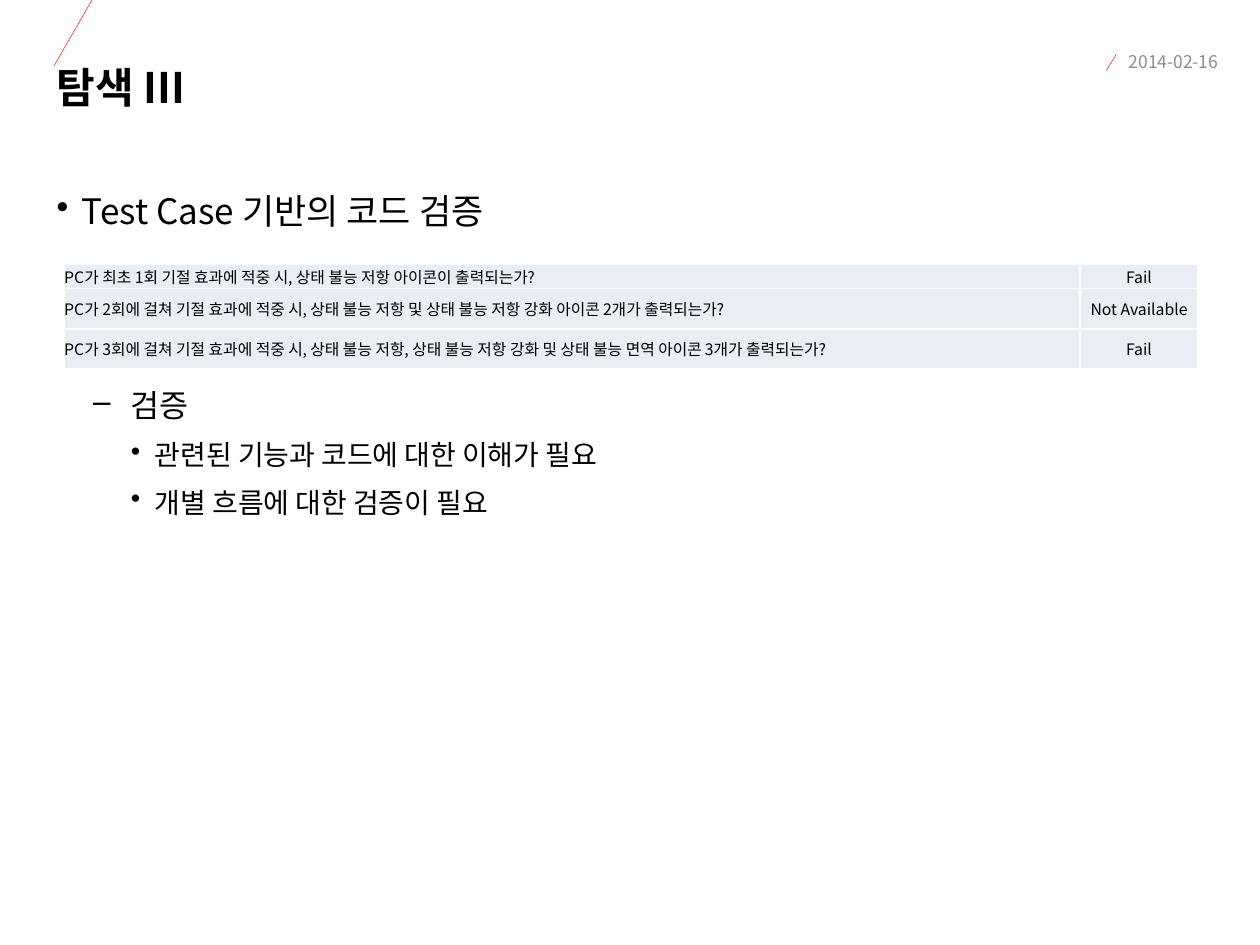
"""Build the search slide with its test case table and outline."""
from lxml import etree
from pptx import Presentation, util as u
from pptx.dml.color import RGBColor
from pptx.enum import shapes, text
from pptx.oxml.ns import qn

FONT = "Noto Sans CJK KR"
HUES = {"ink": "000000", "date": "8C8C8C", "rule": "FF0000",
        "cell": "E9EDF4", "edge": "FFFFFF"}
TITLE = "탐색 III"
DATE = "2014-02-16"
CASES = [
    ("PC가 최초 1회 기절 효과에 적중 시, 상태 불능 저항 아이콘이 출력되는가?", "Fail"),
    ("PC가 2회에 걸쳐 기절 효과에 적중 시, 상태 불능 저항 및 상태 불능 저항 강화 아이콘 2개가 출력되는가?",
     "Not Available"),
    ("PC가 3회에 걸쳐 기절 효과에 적중 시, 상태 불능 저항, 상태 불능 저항 강화 및 상태 불능 면역 아이콘 3개가 출력되는가?",
     "Fail"),
]
COLS, ROWS = (8.06, 0.94), (0.19, 0.32, 0.32)
POINTS = [
    (0, "Test Case 기반의 코드 검증", 4),
    (1, "검증", 84),
    (2, "관련된 기능과 코드에 대한 이해가 필요", 4),
    (2, "개별 흐름에 대한 검증이 필요", 4),
]
LEVELS = [("•", 20, 0.2, 0.2), ("–", 18, 0.59, 0.3), ("•", 16, 0.78, 0.19)]
RULES = [(8.86, 0.43, 8.78, 0.56), (0.73, 0, 0.43, 0.52)]


def hue(name):
    return RGBColor.from_string(HUES[name])


def inches(*nums):
    return [u.Inches(n) for n in nums]


def style(para, size, ink="ink", bold=False):
    for run in para.runs:
        font = run.font
        font.name, font.size, font.bold = FONT, u.Pt(size), bold
        font.color.rgb = hue(ink)
        ea = etree.SubElement(run._r.get_or_add_rPr(), qn("a:ea"))
        ea.set("typeface", FONT)


def add_rule(slide, ends):
    line = slide.shapes.add_connector(
        shapes.MSO_CONNECTOR.STRAIGHT, *inches(*ends))
    line.line.color.rgb = hue("rule")
    line.line.width = u.Pt(0.25)
    etree.SubElement(line._element.spPr, qn("a:effectLst"))


def add_title(slide):
    title = slide.shapes.title
    title.left, title.top, title.width, title.height = inches(
        0.35, 0.38, 7.95, 0.61)
    frame = title.text_frame
    frame.text = TITLE
    frame.vertical_anchor = text.MSO_ANCHOR.MIDDLE
    frame.paragraphs[0].alignment = text.PP_ALIGN.LEFT
    style(frame.paragraphs[0], 24, bold=True)


def add_date(slide):
    frame = slide.shapes.add_textbox(*inches(8.86, 0.39, 1.11, 0.2)).text_frame
    frame.word_wrap = True
    frame.vertical_anchor = text.MSO_ANCHOR.MIDDLE
    frame.text = DATE
    style(frame.paragraphs[0], 10, "date")


def add_points(slide):
    frame = slide.shapes.add_textbox(*inches(0.35, 1.39, 9.15, 5.31)).text_frame
    frame.word_wrap = True
    for i, (level, words, gap) in enumerate(POINTS):
        mark, size, left, hang = LEVELS[level]
        para = frame.add_paragraph() if i else frame.paragraphs[0]
        para.text, para.level = words, level
        para.line_spacing, para.space_before = 1.2, u.Pt(gap)
        style(para, size)
        props = para._p.get_or_add_pPr()
        props.set("marL", str(u.Inches(left)))
        props.set("indent", str(-u.Inches(hang)))
        etree.SubElement(props, qn("a:buChar")).set("char", mark)


def edge_cell(cell):
    props = cell._tc.get_or_add_tcPr()
    for i, side in enumerate(("lnL", "lnR", "lnT", "lnB")):
        line = etree.Element(qn("a:" + side), w=str(u.Pt(1)))
        fill = etree.SubElement(line, qn("a:solidFill"))
        etree.SubElement(fill, qn("a:srgbClr")).set("val", HUES["edge"])
        props.insert(i, line)


def add_cases(slide):
    table = slide.shapes.add_table(
        len(ROWS), len(COLS), *inches(0.51, 2.1, sum(COLS), sum(ROWS))).table
    table.first_row = table.horz_banding = False
    for col, wide in zip(table.columns, COLS):
        col.width = u.Inches(wide)
    for r, (row, case) in enumerate(zip(table.rows, CASES)):
        row.height = u.Inches(ROWS[r])
        for c, words in enumerate(case):
            cell = row.cells[c]
            cell.text = words
            cell.margin_left = cell.margin_right = 0
            cell.margin_top = cell.margin_bottom = 0
            cell.vertical_anchor = text.MSO_ANCHOR.MIDDLE
            cell.fill.solid()
            cell.fill.fore_color.rgb = hue("cell")
            para = cell.text_frame.paragraphs[0]
            para.alignment = (text.PP_ALIGN.LEFT, text.PP_ALIGN.CENTER)[c]
            style(para, 9)
            edge_cell(cell)


def main():
    deck = Presentation()
    deck.slide_width, deck.slide_height = inches(10, 7.5)
    slide = deck.slides.add_slide(deck.slide_layouts[5])
    for ends in RULES:
        add_rule(slide, ends)
    add_title(slide)
    add_points(slide)
    add_date(slide)
    add_cases(slide)
    deck.save("out.pptx")


if __name__ == "__main__":
    main()
